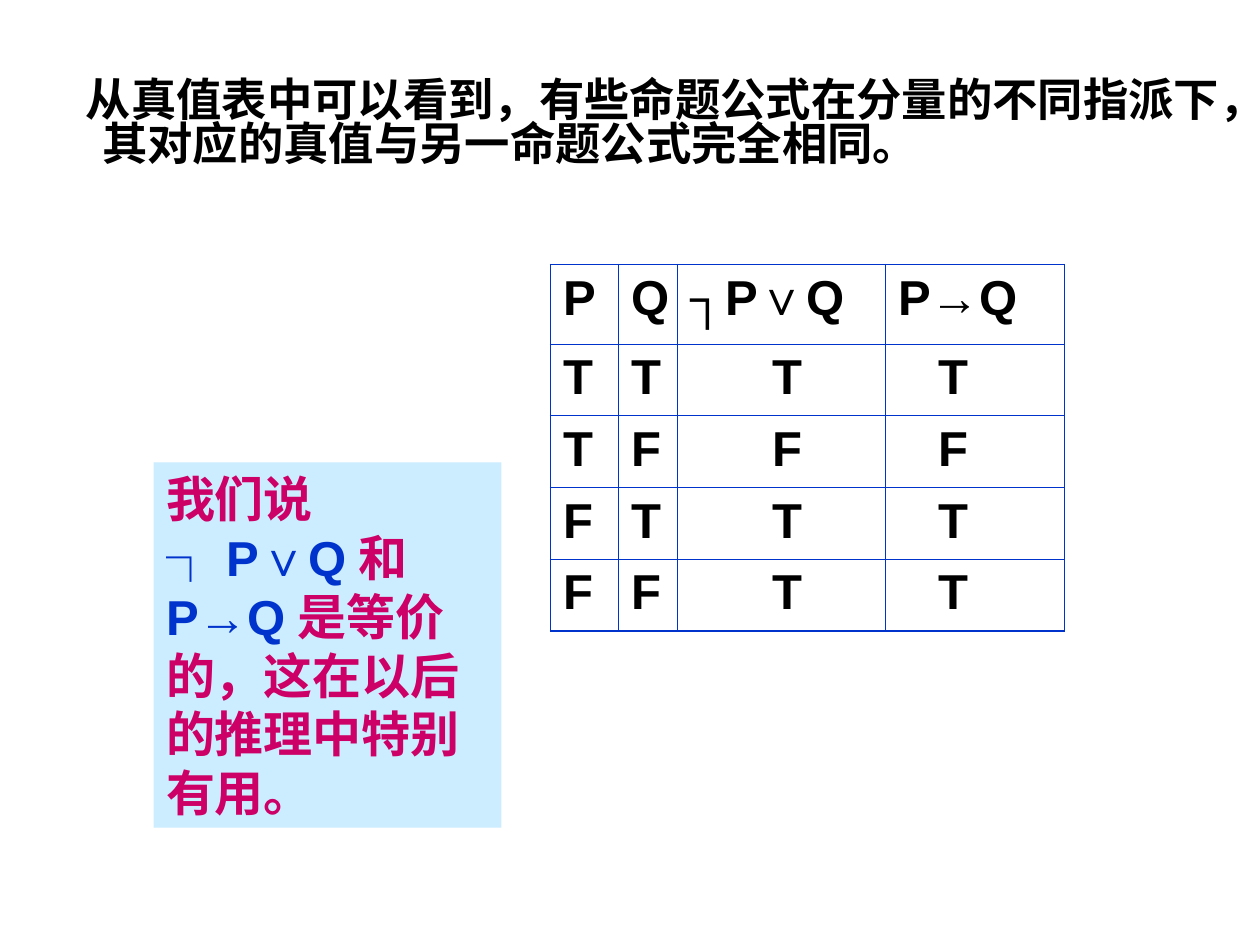
from lxml.etree import SubElement
from pptx import Presentation
from pptx.dml.color import RGBColor
from pptx.enum.shapes import MSO_SHAPE
from pptx.enum.text import MSO_ANCHOR, PP_ALIGN
from pptx.oxml import parse_xml
from pptx.oxml.ns import nsdecls, qn
from pptx.util import Inches, Pt

BLACK, BLUE, MAGENTA, PALE_BLUE = "000000", "0033CC", "CC0066", "CCECFF"
OUTER, INNER = 1.08, 0.45
COLUMN_WIDTHS = [0.54, 0.47, 1.65, 1.42]
ROW_HEIGHTS = [0.63] + [0.57] * 4
VALUE_INSETS = [0.1, 0.1, 0.75, 0.42]
TRUTH_ROWS = [
    ["P", "Q", "┐P∨Q", "P→Q"],
    ["T", "T", "T", "T"],
    ["T", "F", "F", "F"],
    ["F", "T", "T", "T"],
    ["F", "F", "T", "T"],
]


def colour(value):
    return RGBColor.from_string(value)


def set_values(target, values):
    for name, value in values.items():
        setattr(target, name, value)


def add_span(para, text, hue=BLACK, size=28):
    span = para.add_run()
    span.text = text
    set_values(span.font, {"name": "Arial", "size": Pt(size), "bold": True})
    span.font.color.rgb = colour(hue)


def fill_body(body, box):
    left, top, width, height = map(Inches, box)
    set_values(body, {"left": left, "top": top, "width": width, "height": height})
    set_values(body.text_frame, {"word_wrap": True, "vertical_anchor": MSO_ANCHOR.TOP})
    para = body.text_frame.paragraphs[0]
    properties = para._p.get_or_add_pPr()
    properties.set("marL", str(Inches(0.38)))
    properties.set("indent", str(Inches(-0.13)))
    SubElement(properties, qn("a:buNone"))
    set_values(para, {"line_spacing": 0.8, "space_before": Pt(0)})
    add_span(para, "从真值表中可以看到，有些命题公式在分量的不同指派下，"
                   "其对应的真值与另一命题公式完全相同。", size=25.9)


def set_borders(cell, widths):
    properties = cell._tc.get_or_add_tcPr()
    for index, (side, width) in enumerate(zip("LRTB", widths)):
        properties.insert(index, parse_xml(
            f'<a:ln{side} {nsdecls("a")} w="{Pt(width)}"><a:solidFill>'
            f'<a:srgbClr val="{BLUE}"/></a:solidFill></a:ln{side}>'))


def add_truth_table(page, box):
    last_row, last_column = len(ROW_HEIGHTS) - 1, len(COLUMN_WIDTHS) - 1
    table = page.shapes.add_table(
        last_row + 1, last_column + 1, *map(Inches, box)).table
    set_values(table, {"first_row": False, "horz_banding": False})
    for column, width in zip(table.columns, COLUMN_WIDTHS):
        column.width = Inches(width)
    for row, height in zip(table.rows, ROW_HEIGHTS):
        row.height = Inches(height)
    for r, texts in enumerate(TRUTH_ROWS):
        for c, text in enumerate(texts):
            cell = table.cell(r, c)
            cell.margin_left = Inches(VALUE_INSETS[c] if r else 0.1)
            cell.fill.background()
            edges = [c == 0, c == last_column, r == 0, r == last_row]
            set_borders(cell, [OUTER if edge else INNER for edge in edges])
            add_span(cell.text_frame.paragraphs[0], text)


def add_conclusion(page, box):
    panel = page.shapes.add_shape(MSO_SHAPE.RECTANGLE, *map(Inches, box))
    panel.shadow.inherit = False
    panel.fill.solid()
    panel.fill.fore_color.rgb = colour(PALE_BLUE)
    panel.line.fill.background()
    set_values(panel.text_frame, {"word_wrap": True, "vertical_anchor": MSO_ANCHOR.TOP})
    para = panel.text_frame.paragraphs[0]
    para.alignment = PP_ALIGN.LEFT
    for text, hue in [("我们说", MAGENTA), ("┐P∨Q", BLUE), ("和", MAGENTA),
                      ("P→Q", BLUE), ("是等价的，这在以后的推理中特别有用。", MAGENTA)]:
        add_span(para, text, hue)


def main():
    deck = Presentation()
    set_values(deck, {"slide_width": Inches(10), "slide_height": Inches(7.5)})
    page = deck.slides.add_slide(deck.slide_layouts[1])
    title = page.shapes.title
    title.element.getparent().remove(title.element)
    fill_body(page.placeholders[1], (0.33, 0.6, 9.67, 1.26))
    add_truth_table(page, (4.37, 2.1, sum(COLUMN_WIDTHS), sum(ROW_HEIGHTS)))
    add_conclusion(page, (1.22, 3.67, 2.76, 2.9))
    deck.save("out.pptx")


if __name__ == "__main__":
    main()
